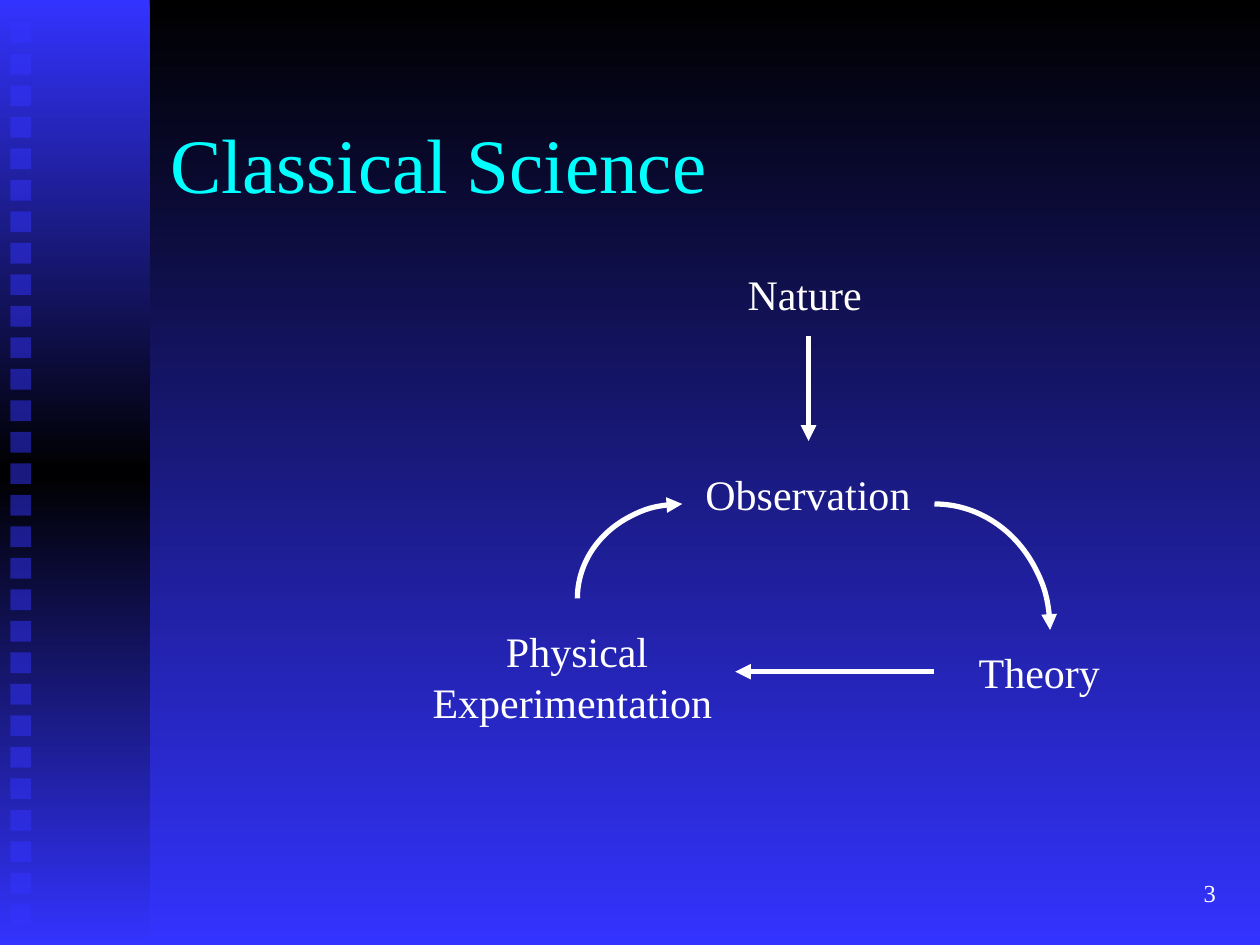
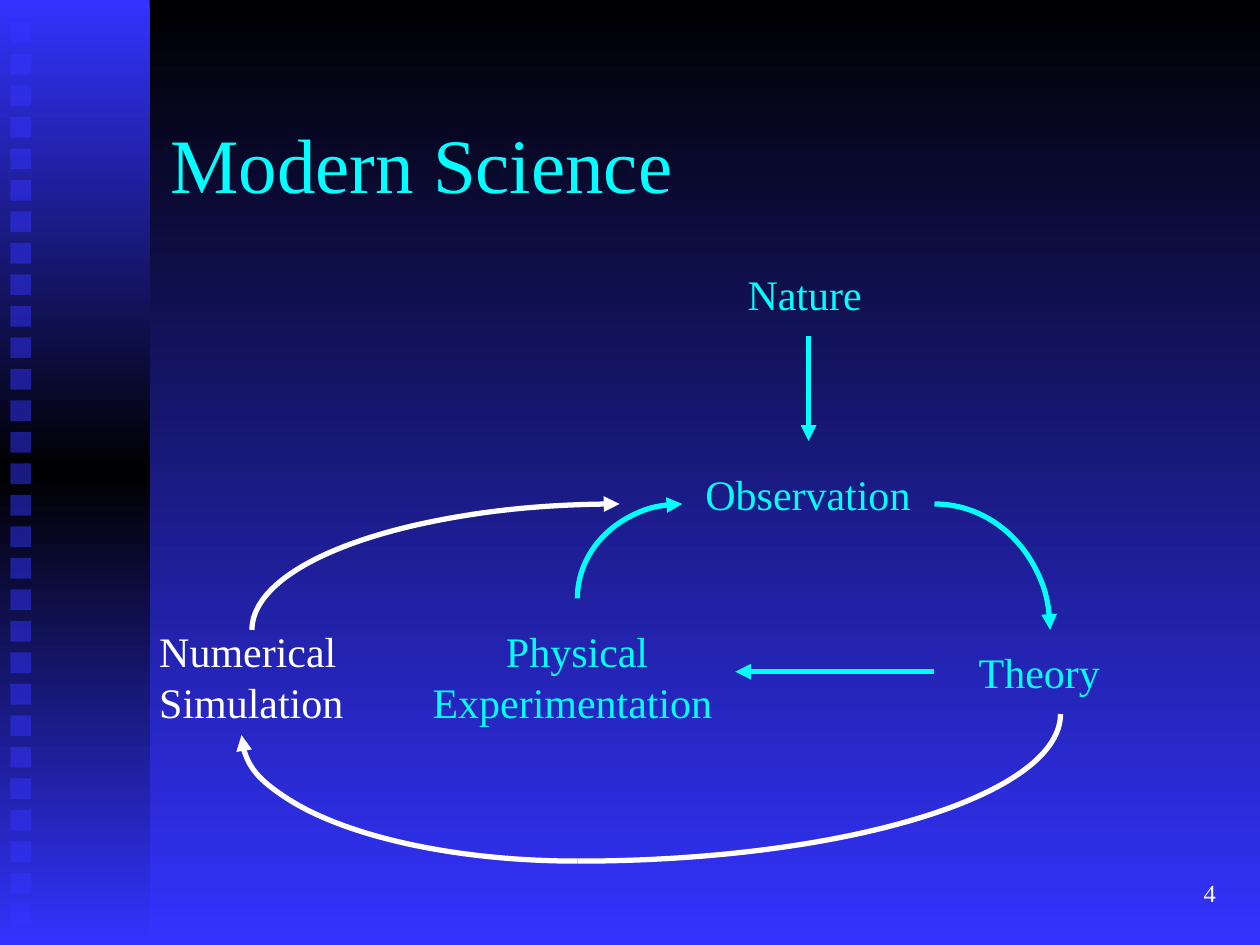
import copy
from dataclasses import dataclass

import pptx
import pptx.dml.color
import pptx.enum.shapes
import pptx.enum.text
import pptx.oxml
import pptx.oxml.ns
import pptx.util
from pptx.util import Cm

COLORS = {"black": "000000", "blue": "3333FF", "cyan": "00FFFF", "white": "FFFFFF"}
FONT = "Times New Roman"
PAGE_WIDTH, PAGE_HEIGHT = 25.4, 19.05
BAND_WIDTH = 3.02
SQUARE_COUNT, SQUARE_SIZE, SQUARE_LEFT, SQUARE_TOP = 29, 0.42, 0.21, 0.45
SQUARE_PITCH = PAGE_HEIGHT / 30


@dataclass(frozen=True)
class Box:
    left: float
    top: float
    width: float
    height: float

    def lengths(self) -> tuple:
        return Cm(self.left), Cm(self.top), Cm(self.width), Cm(self.height)


@dataclass(frozen=True)
class Label:
    text: str
    box: Box
    first_indent: float = 0


@dataclass(frozen=True)
class Arrow:
    x1: float
    y1: float
    x2: float
    y2: float


@dataclass(frozen=True)
class Arc:
    ellipse: Box
    start: int
    end: int
    arrowhead: bool = True


@dataclass(frozen=True)
class Diagram:
    labels: tuple
    arrows: tuple
    arcs: tuple


TITLE_BOX = Box(3.18, 1.7, 21.59, 3.18)
NUMBER_BOX = Box(19.47, 17.36, 5.29, 1.27)

CLASSICAL_CYCLE = Diagram(
    labels=(
        Label("Nature", Box(14.82, 5.29, 2.83, 1.27)),
        Label("Observation", Box(13.97, 9.31, 4.65, 1.27)),
        Label("Theory", Box(19.48, 12.91, 2.95, 1.27)),
        Label("Physical\nExperimentation", Box(8.47, 12.49, 6.15, 2.29), 1.48),
    ),
    arrows=(Arrow(16.3, 6.77, 16.3, 8.89), Arrow(18.83, 13.54, 14.82, 13.54)),
    arcs=(
        Arc(Box(16.51, 10.16, 4.66, 5.08), 270, 0),
        Arc(Box(11.64, 10.16, 4.23, 3.81), 180, 270),
    ),
)
SIMULATION_LOOP = Diagram(
    labels=(Label("Numerical\nSimulation", Box(2.96, 12.49, 4.22, 2.29)),),
    arrows=(),
    arcs=(
        Arc(Box(1.91, 11.43, 19.47, 5.93), 0, 90, arrowhead=False),
        Arc(Box(4.87, 12.28, 13.55, 5.08), 90, 180),
        Arc(Box(5.08, 10.16, 14.82, 5.08), 180, 270),
    ),
)


def rgb(color: str) -> pptx.dml.color.RGBColor:
    return pptx.dml.color.RGBColor.from_string(COLORS[color])


def add_child(parent, tag: str, **attributes: str) -> None:
    child = pptx.oxml.parse_xml(f"<a:{tag} {pptx.oxml.ns.nsdecls('a')}/>")
    for name, value in attributes.items():
        child.set(name, value)
    parent.append(child)


def paint_gradient(fill, owner, colors: tuple) -> None:
    fill.gradient()
    fill.gradient_angle = 270
    stop_list = next(owner.iter(pptx.oxml.ns.qn("a:gsLst")))
    for _ in colors[2:]:
        stop_list.append(copy.deepcopy(stop_list[-1]))
    for index, (stop, color) in enumerate(zip(fill.gradient_stops, colors)):
        stop.color.rgb = rgb(color)
        stop.position = index / (len(colors) - 1)


def add_rectangle(slide, box: Box):
    rectangle = slide.shapes.add_shape(pptx.enum.shapes.MSO_SHAPE.RECTANGLE, *box.lengths())
    rectangle.shadow.inherit = False
    rectangle.line.fill.background()
    return rectangle


def draw_backdrop(slide) -> None:
    paint_gradient(slide.background.fill, slide._element, ("black", "blue"))
    band = add_rectangle(slide, Box(0, 0, BAND_WIDTH, PAGE_HEIGHT))
    paint_gradient(band.fill, band._element, ("blue", "black", "blue"))
    for index in range(SQUARE_COUNT):
        top = SQUARE_TOP + index * SQUARE_PITCH
        square = add_rectangle(slide, Box(SQUARE_LEFT, top, SQUARE_SIZE, SQUARE_SIZE))
        square.fill.solid()
        square.fill.fore_color.rgb = rgb("blue")
        tint = next(square._element.spPr.iter(pptx.oxml.ns.qn("a:srgbClr")))
        add_child(tint, "alpha", val="50000")


def add_text(slide, text: str, box: Box, size: int, color: str):
    frame = slide.shapes.add_textbox(*box.lengths()).text_frame
    frame.text = text
    frame.word_wrap = True
    for paragraph in frame.paragraphs:
        for run in paragraph.runs:
            run.font.size = pptx.util.Pt(size)
            run.font.name = FONT
            run.font.color.rgb = rgb(color)
    return frame


def draw_label(slide, label: Label, color: str) -> None:
    frame = add_text(slide, label.text, label.box, 24, color)
    frame.word_wrap = False
    frame.auto_size = pptx.enum.text.MSO_AUTO_SIZE.SHAPE_TO_FIT_TEXT
    if label.first_indent:
        frame.paragraphs[0]._p.get_or_add_pPr().set("marL", str(Cm(label.first_indent)))


def style_stroke(line, color: str, arrowhead: bool = True) -> None:
    line.color.rgb = rgb(color)
    line.width = pptx.util.Pt(3)
    if arrowhead:
        add_child(line._get_or_add_ln(), "tailEnd", type="triangle")


def draw_arrow(slide, arrow: Arrow, color: str) -> None:
    connector = slide.shapes.add_connector(
        pptx.enum.shapes.MSO_CONNECTOR.STRAIGHT,
        Cm(arrow.x1), Cm(arrow.y1), Cm(arrow.x2), Cm(arrow.y2),
    )
    style_stroke(connector.line, color)
    add_child(connector._element.spPr, "effectLst")


def draw_arc(slide, arc: Arc, color: str) -> None:
    curve = slide.shapes.add_shape(pptx.enum.shapes.MSO_SHAPE.ARC, *arc.ellipse.lengths())
    curve.shadow.inherit = False
    curve.fill.background()
    for index, degrees in enumerate((arc.start, arc.end)):
        curve.adjustments[index] = degrees * 0.6
    style_stroke(curve.line, color, arc.arrowhead)


def draw_diagram(slide, diagram: Diagram, color: str) -> None:
    for label in diagram.labels:
        draw_label(slide, label, color)
    for arrow in diagram.arrows:
        draw_arrow(slide, arrow, color)
    for arc in diagram.arcs:
        draw_arc(slide, arc, color)


def add_science_slide(presentation, title: str, number: int):
    slide = presentation.slides.add_slide(presentation.slide_layouts[6])
    draw_backdrop(slide)
    heading = add_text(slide, title, TITLE_BOX, 44, "cyan")
    page_number = add_text(slide, str(number), NUMBER_BOX, 14, "white")
    for frame in (heading, page_number):
        frame.vertical_anchor = pptx.enum.text.MSO_ANCHOR.MIDDLE
    page_number.paragraphs[0].alignment = pptx.enum.text.PP_ALIGN.RIGHT
    return slide


def main() -> None:
    presentation = pptx.Presentation()
    presentation.slide_width = Cm(PAGE_WIDTH)
    presentation.slide_height = Cm(PAGE_HEIGHT)

    classical = add_science_slide(presentation, "Classical Science", 3)
    draw_diagram(classical, CLASSICAL_CYCLE, "white")

    modern = add_science_slide(presentation, "Modern Science", 4)
    draw_diagram(modern, CLASSICAL_CYCLE, "cyan")
    draw_diagram(modern, SIMULATION_LOOP, "white")

    presentation.save("out.pptx")


if __name__ == "__main__":
    main()
